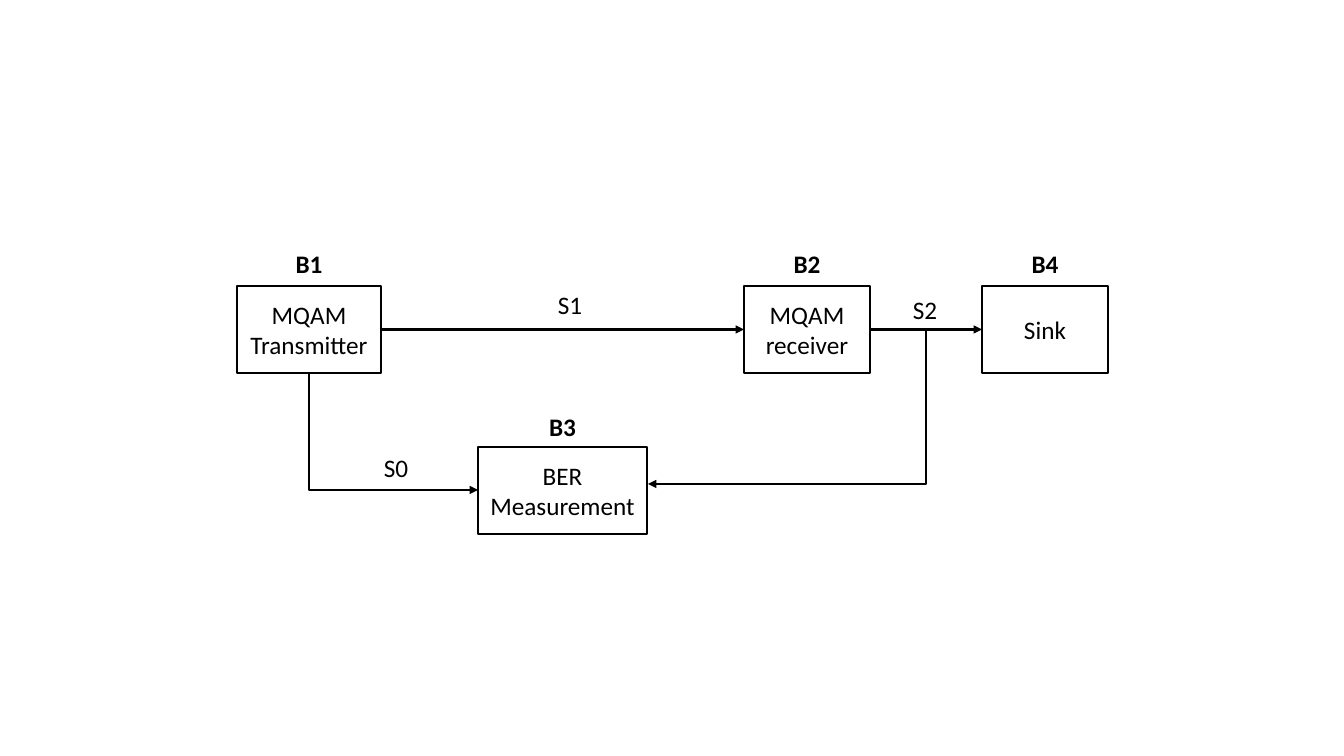
"""Build a block diagram of an MQAM link with BER measurement."""
from lxml.etree import SubElement
from pptx import Presentation
from pptx.dml.color import RGBColor
from pptx.enum.shapes import MSO_CONNECTOR, MSO_SHAPE
from pptx.enum.text import MSO_ANCHOR, PP_ALIGN
from pptx.oxml.ns import qn
from pptx.util import Emu, Pt

COLORS = {"ink": "000000"}
INK = RGBColor.from_string(COLORS["ink"])
SCALE = 914400 / 100.8


def px(*lengths):
    return [Emu(round(n * SCALE)) for n in lengths]


def write(sp, text, bold=False):
    tf = sp.text_frame
    tf.text = text
    p = tf.paragraphs[0]
    p.alignment = PP_ALIGN.CENTER
    font = p.runs[0].font
    font.name, font.size, font.bold = "Calibri", Pt(18), bold
    font.color.rgb = INK


prs = Presentation()
prs.slide_width, prs.slide_height = px(1344, 756)
s = prs.slides.add_slide(prs.slide_layouts[6])

box_h = 87
blocks = [
    ("B1", "MQAM Transmitter", 237, 286, 144, 243),
    ("B2", "MQAM receiver", 744, 286, 126, 243),
    ("B3", "BER Measurement", 478, 447, 169, 406),
    ("B4", "Sink", 982, 286, 126, 243),
]
labels = [("S1", 570, 284), ("S2", 925, 289), ("S0", 396, 447)]

boxes = {}
for name, text, x, y, w, label_y in blocks:
    sp = s.shapes.add_shape(MSO_SHAPE.RECTANGLE, *px(x, y, w, box_h))
    sp.shadow.inherit = False
    sp.fill.background()
    sp.line.color.rgb = INK
    sp.line.width = Pt(2)
    sp.text_frame.word_wrap = True
    sp.text_frame.vertical_anchor = MSO_ANCHOR.MIDDLE
    write(sp, text)
    boxes[name] = sp
    labels.append((name, x + w / 2, label_y))

label_w, label_h = 49, 41
for text, center, y in labels:
    sp = s.shapes.add_textbox(*px(center - label_w / 2, y, label_w, label_h))
    sp.text_frame.word_wrap = False
    write(sp, text, bold=text.startswith("B"))

straight, elbow = MSO_CONNECTOR.STRAIGHT, MSO_CONNECTOR.ELBOW
arrows = [
    (straight, 381, 330, 744, 330, "a:tailEnd", ("B1", "B2")),
    (straight, 870, 330, 982, 330, "a:tailEnd", ("B2", "B4")),
    (elbow, 478, 490, 309, 373, "a:headEnd", None),
    (elbow, 648, 484, 926, 330, "a:headEnd", None),
]
for kind, x1, y1, x2, y2, arrow_end, ends in arrows:
    line = s.shapes.add_connector(kind, *px(x1, y1, x2, y2))
    line.line.color.rgb = INK
    line.line.width = Pt(1.5)
    if ends:
        line.begin_connect(boxes[ends[0]], 3)
        line.end_connect(boxes[ends[1]], 1)
    spPr = line._element.spPr
    if kind == elbow:
        spPr.find(qn("a:prstGeom")).set("prst", "bentConnector2")
    SubElement(spPr.find(qn("a:ln")), qn(arrow_end), type="triangle")
    SubElement(spPr, qn("a:effectLst"))

prs.save("out.pptx")
